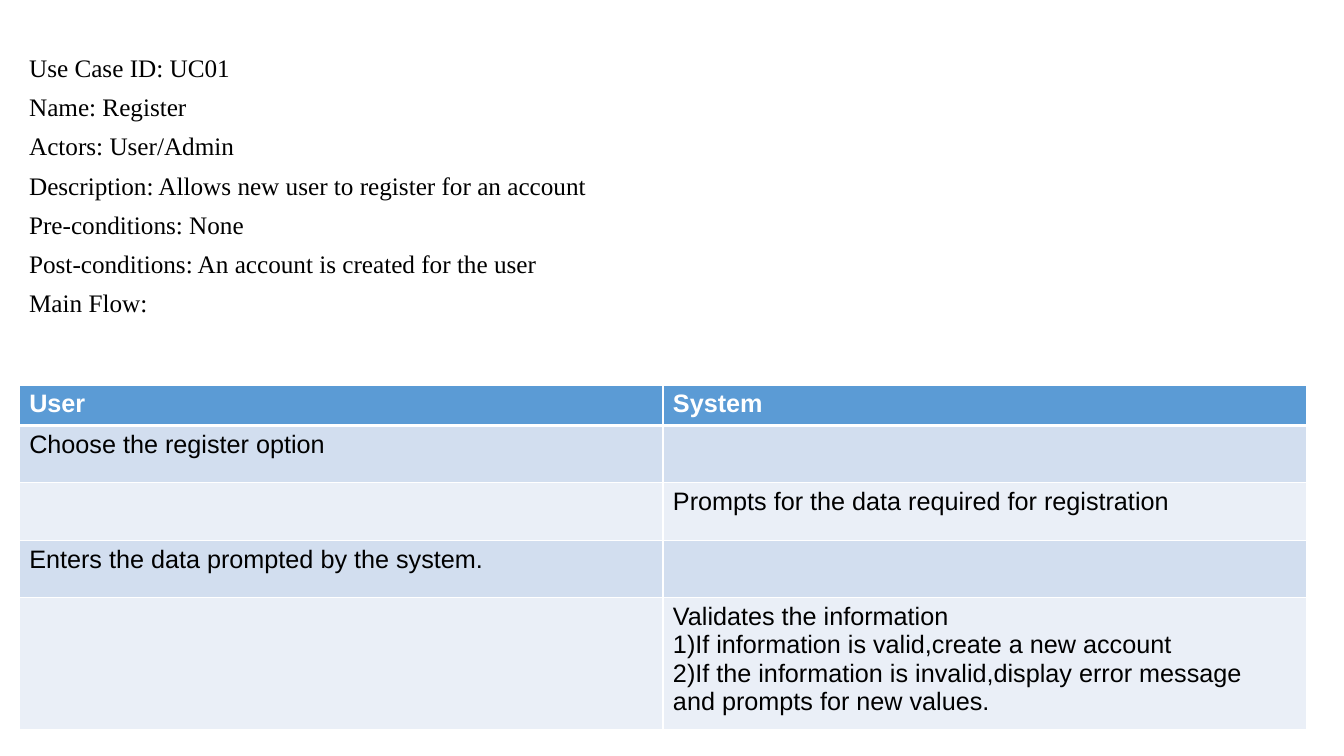
from dataclasses import dataclass

from lxml import etree
from pptx import Presentation
from pptx.dml import color
from pptx.enum import text
from pptx.oxml import ns
from pptx.util import Inches, Pt


@dataclass(frozen=True)
class Theme:
    black: str = "000000"
    white: str = "FFFFFF"
    header: str = "5B9BD5"
    bands: tuple[str, str] = ("D2DEEF", "EAEFF7")
    details_font: str = "Times New Roman"
    flow_font: str = "Arial"
    size: int = 18
    line_spacing: int = 28
    thin: int = 1
    thick: int = 3


@dataclass(frozen=True)
class FlowStep:
    height: float
    user: str = ""
    system: str = ""


THEME = Theme()

USE_CASE_DETAILS = [
    "Use Case ID: UC01",
    "Name: Register",
    "Actors: User/Admin",
    "Description: Allows new user to register for an account",
    "Pre-conditions: None",
    "Post-conditions: An account is created for the user",
    "Main Flow:",
]

MAIN_FLOW = [
    FlowStep(0.39, user="User", system="System"),
    FlowStep(0.57, user="Choose the register option"),
    FlowStep(0.57, system="Prompts for the data required for registration"),
    FlowStep(0.57, user="Enters the data prompted by the system."),
    FlowStep(1.31, system="Validates the information\n"
                          "1)If information is valid,create a new account\n"
                          "2)If the information is invalid,display error message\n"
                          "and prompts for new values."),
]


def style_text(frame, font_name: str, rgb: str, bold: bool = False) -> None:
    for paragraph in frame.paragraphs:
        for font in [paragraph.font] + [run.font for run in paragraph.runs]:
            font.name = font_name
            font.size = Pt(THEME.size)
            font.bold = bold
            font.color.rgb = color.RGBColor.from_string(rgb)


def add_border(cell, edge: str, width: int) -> None:
    properties = cell._tc.get_or_add_tcPr()
    line = etree.SubElement(properties, ns.qn(f"a:{edge}"), w=str(Pt(width)))
    fill = etree.SubElement(line, ns.qn("a:solidFill"))
    etree.SubElement(fill, ns.qn("a:srgbClr"), val=THEME.white)


def add_details(slide) -> None:
    details = slide.shapes.add_textbox(Inches(0.19), Inches(0.38), Inches(9.81), Inches(2.81))
    frame = details.text_frame
    frame.word_wrap = True
    frame.auto_size = text.MSO_AUTO_SIZE.SHAPE_TO_FIT_TEXT
    frame.text = "\n".join(USE_CASE_DETAILS)
    for paragraph in frame.paragraphs:
        paragraph.line_spacing = Pt(THEME.line_spacing)
    style_text(frame, THEME.details_font, THEME.black)


def fill_flow_cell(cell, wording: str, row: int) -> None:
    is_header = row == 0
    # Borders come before the fill in the cell properties
    add_border(cell, "lnL", THEME.thin)
    add_border(cell, "lnR", THEME.thin)
    add_border(cell, "lnT", THEME.thick if row == 1 else THEME.thin)
    add_border(cell, "lnB", THEME.thick if is_header else THEME.thin)
    cell.fill.solid()
    background = THEME.header if is_header else THEME.bands[(row - 1) % 2]
    cell.fill.fore_color.rgb = color.RGBColor.from_string(background)
    cell.text_frame.text = wording
    style_text(cell.text_frame, THEME.flow_font,
               THEME.white if is_header else THEME.black, bold=is_header)


def add_main_flow(slide) -> None:
    height = sum(step.height for step in MAIN_FLOW)
    flow = slide.shapes.add_table(len(MAIN_FLOW), 2, Inches(0.19), Inches(3.82),
                                  Inches(12.77), Inches(height)).table
    for row, step in enumerate(MAIN_FLOW):
        flow.rows[row].height = Inches(step.height)
        for column, wording in enumerate((step.user, step.system)):
            fill_flow_cell(flow.cell(row, column), wording, row)


def main() -> None:
    deck = Presentation()
    deck.slide_width, deck.slide_height = Inches(13.33), Inches(7.5)
    slide = deck.slides.add_slide(deck.slide_layouts[6])
    # Use case summary above, main flow table below
    add_details(slide)
    add_main_flow(slide)
    deck.save("out.pptx")


if __name__ == "__main__":
    main()
